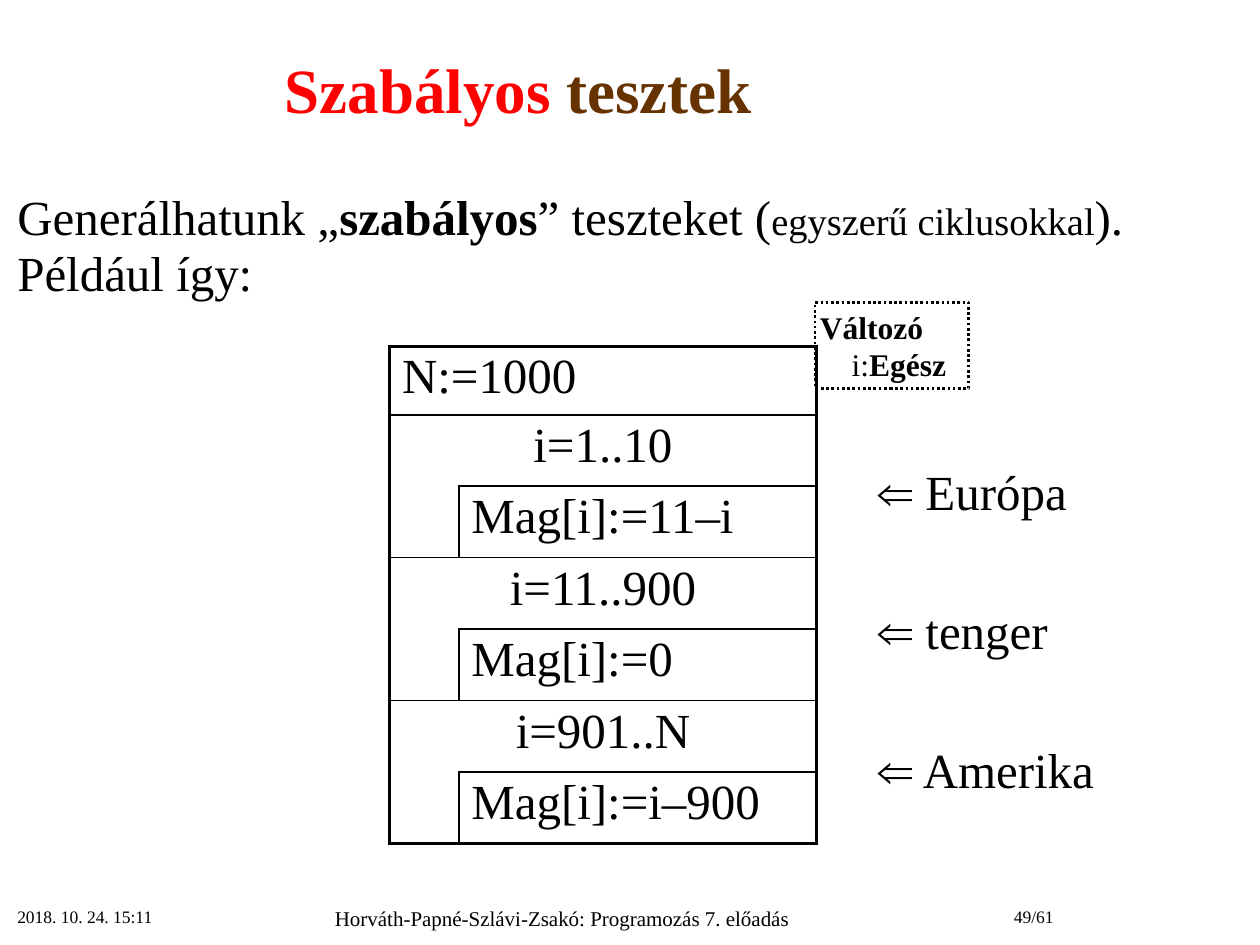
import pptx
import pptx.util
import pptx.dml.color
import pptx.enum.dml
import pptx.enum.shapes
import pptx.enum.text
import pptx.oxml
import pptx.oxml.ns

Cm = pptx.util.Cm
Pt = pptx.util.Pt
ALIGN = pptx.enum.text.PP_ALIGN
ANCHOR = pptx.enum.text.MSO_ANCHOR

THEME = {
    "font": "Times New Roman",
    "ink": "000000", "accent": "FF0000", "heading": "663300",
    "title": 36, "body": 28, "aside": 22, "variable": 18, "footer": 12, "small": 10,
    "thick": 2.25, "thin": 1, "dotted": 1.5,
}

TITLE = [("Szabályos", {"color": "accent", "bold": True}),
         (" tesztek", {"color": "heading", "bold": True})]
INTRO = [("Generálhatunk „", {}), ("szabályos", {"bold": True}), ("” teszteket (", {}),
         ("egyszerű ciklusokkal", {"size": "aside"}), ("). Például így:", {})]
ASSIGNMENT = "N:=1000"
LOOPS = [("i=1..10", "Mag[i]:=11–i"),
         ("i=11..900", "Mag[i]:=0"),
         ("i=901..N", "Mag[i]:=i–900")]
REGIONS = ["⇐ Európa", "⇐ tenger", "⇐ Amerika"]
VARIABLES = [[("Változó", {"bold": True})],
             [("i:", {}), ("Egész", {"bold": True})]]
FOOTERS = [("2018. 10. 24. 15:11", (0.1, 18.14, 5.28, 0.99), "small", ALIGN.LEFT),
           ("Horváth-Papné-Szlávi-Zsakó: Programozás 7. előadás",
            (5.38, 18.14, 11.91, 0.91), "footer", ALIGN.CENTER),
           ("49/61", (18.26, 18.14, 3.23, 0.99), "small", ALIGN.RIGHT)]

INDENT_WIDTH, STEP_WIDTH = 1.4, 7.21
FIRST_ROW, LOOP_ROW = 1.37, 1.44


def rgb(role):
    return pptx.dml.color.RGBColor.from_string(THEME[role])


def write(paragraph, pieces, size, align=ALIGN.LEFT, spacing=None, before=0):
    paragraph.alignment = align
    paragraph.space_before = Pt(before)
    if spacing:
        paragraph.line_spacing = spacing
    for words, style in pieces:
        run = paragraph.add_run()
        run.text = words
        run.font.name = THEME["font"]
        run.font.size = Pt(THEME[style.get("size", size)])
        run.font.bold = style.get("bold", False)
        run.font.color.rgb = rgb(style.get("color", "ink"))


def add_frame(slide, box, anchor=ANCHOR.TOP):
    frame = slide.shapes.add_textbox(*map(Cm, box)).text_frame
    frame.word_wrap = True
    frame.vertical_anchor = anchor
    return frame


def set_borders(cell, **weights):
    properties = cell._tc.get_or_add_tcPr()
    for place, side in enumerate("LRTB"):
        weight = weights.get(side)
        if weight:
            width = Pt(THEME[weight])
            fill = f'<a:solidFill><a:srgbClr val="{THEME["ink"]}"/></a:solidFill>'
        else:
            width, fill = 0, "<a:noFill/>"
        properties.insert(place, pptx.oxml.parse_xml(
            f'<a:ln{side} {pptx.oxml.ns.nsdecls("a")} w="{width}">{fill}</a:ln{side}>'))


def add_structogram(slide):
    row_count = 1 + 2 * len(LOOPS)
    structogram = slide.shapes.add_table(
        row_count, 2, Cm(7.85), Cm(6.98), Cm(INDENT_WIDTH + STEP_WIDTH),
        Cm(FIRST_ROW + LOOP_ROW * (row_count - 1))).table
    structogram.first_row = structogram.horz_banding = False
    for column, width in zip(structogram.columns, (INDENT_WIDTH, STEP_WIDTH)):
        column.width = Cm(width)
    for index, row in enumerate(structogram.rows):
        row.height = Cm(LOOP_ROW if index else FIRST_ROW)
        for cell in row.cells:
            cell.fill.background()

    def fill_cell(row, column, words, align=ALIGN.LEFT):
        write(structogram.cell(row, column).text_frame.paragraphs[0],
              [(words, {})], "body", align, 0.95)

    def span_row(row, words, align, **edges):
        left, right = structogram.cell(row, 0), structogram.cell(row, 1)
        left.merge(right)
        fill_cell(row, 0, words, align)
        set_borders(left, L="thick", R="thick", **edges)
        set_borders(right, R="thick", **edges)

    span_row(0, ASSIGNMENT, ALIGN.LEFT, T="thick", B="thin")
    for index, (condition, step) in enumerate(LOOPS):
        head = 1 + 2 * index
        bottom = "thick" if index == len(LOOPS) - 1 else "thin"
        span_row(head, condition, ALIGN.CENTER, T="thin")
        fill_cell(head + 1, 1, step)
        set_borders(structogram.cell(head + 1, 0), L="thick", R="thin", B=bottom)
        set_borders(structogram.cell(head + 1, 1), L="thin", T="thin", R="thick", B=bottom)


def add_variables(slide):
    declaration = slide.shapes.add_shape(
        pptx.enum.shapes.MSO_SHAPE.RECTANGLE, Cm(16.43), Cm(6.1), Cm(3.1), Cm(1.73))
    declaration.shadow.inherit = False
    declaration.fill.background()
    declaration.line.color.rgb = rgb("ink")
    declaration.line.width = Pt(THEME["dotted"])
    declaration.line.dash_style = pptx.enum.dml.MSO_LINE.ROUND_DOT
    frame = declaration.text_frame
    frame.word_wrap = True
    frame.vertical_anchor = ANCHOR.TOP
    frame.margin_left = frame.margin_right = Cm(0.1)
    frame.margin_top = frame.margin_bottom = Cm(0.1)
    heading = frame.paragraphs[0]
    write(heading, VARIABLES[0], "variable", before=2)
    entry = frame.add_paragraph()
    write(entry, VARIABLES[1], "variable")
    entry._p.get_or_add_pPr().set("marL", str(Cm(0.64)))


def main():
    presentation = pptx.Presentation()
    presentation.slide_width, presentation.slide_height = Cm(25.4), Cm(19.05)
    slide = presentation.slides.add_slide(presentation.slide_layouts[6])

    title = add_frame(slide, (0, 0.23, 20.9, 3.1), ANCHOR.MIDDLE)
    write(title.paragraphs[0], TITLE, "title", ALIGN.CENTER)
    intro = add_frame(slide, (0.1, 3.73, 24.82, 13.21))
    write(intro.paragraphs[0], INTRO, "body", spacing=0.95, before=1.4)

    add_structogram(slide)

    regions = add_frame(slide, (17.45, 9.17, 5.99, 8))
    for index, region in enumerate(REGIONS):
        paragraph = regions.add_paragraph() if index else regions.paragraphs[0]
        write(paragraph, [(region, {})], "body", before=46 if index else 4)

    add_variables(slide)
    for words, box, size, align in FOOTERS:
        write(add_frame(slide, box).paragraphs[0], [(words, {})], size, align)

    presentation.save("out.pptx")


if __name__ == "__main__":
    main()
